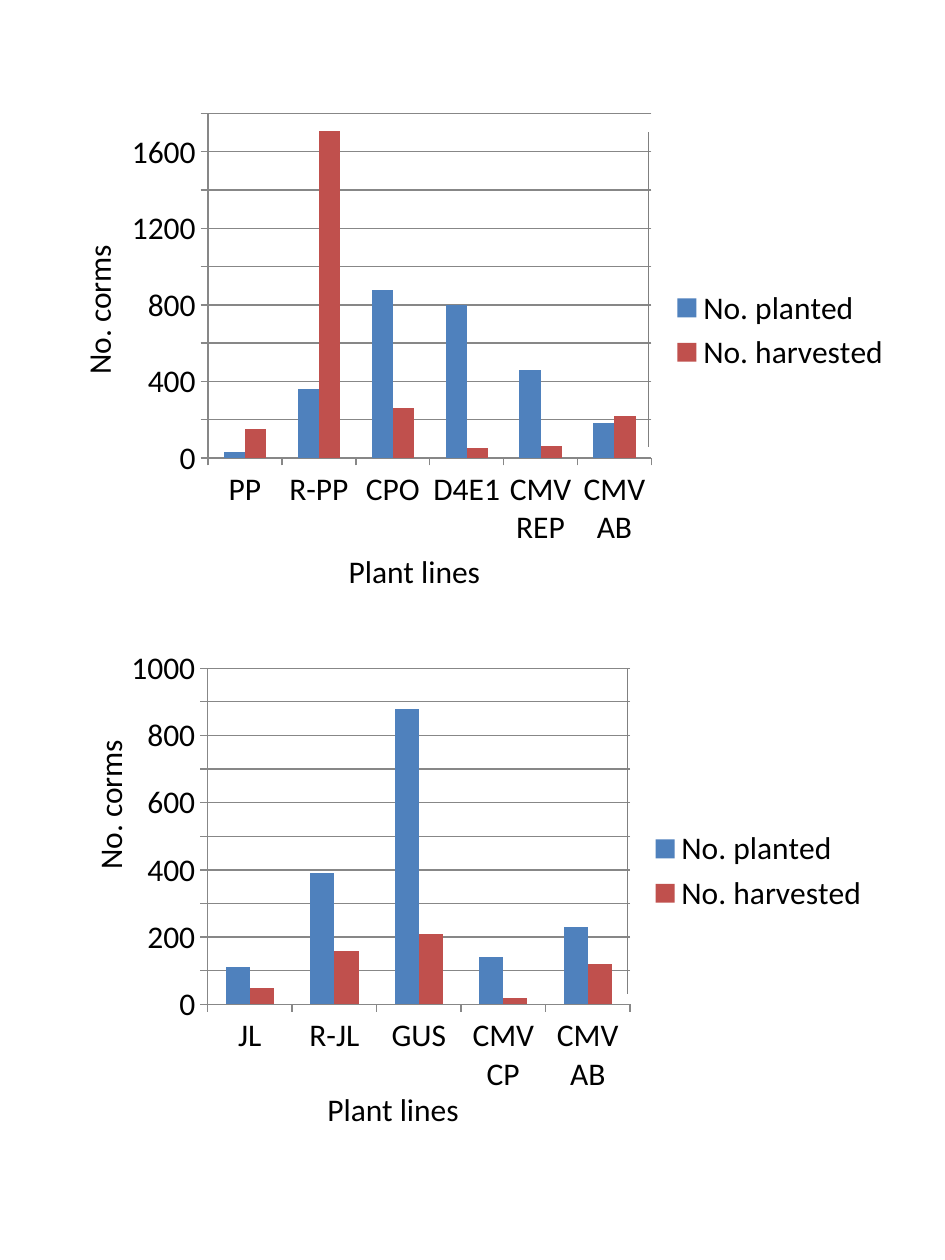
from pptx import Presentation
from pptx.chart.data import CategoryChartData
from pptx.dml.color import RGBColor
from pptx.enum.chart import XL_CHART_TYPE, XL_LEGEND_POSITION, XL_TICK_MARK
from pptx.enum.shapes import MSO_CONNECTOR
from pptx.enum.text import MSO_AUTO_SIZE
from pptx.oxml.ns import qn
from pptx.util import Cm, Pt
from lxml import etree


def paint(item, color):
    item.fill.solid()
    item.fill.fore_color.rgb = RGBColor.from_string(color)


def style(font):
    font.name = "Calibri"
    font.size = Pt(18)
    font.bold = False
    paint(font, "000000")


deck = Presentation()
deck.slide_width = Cm(19.05)
deck.slide_height = Cm(25.4)
slide = deck.slides.add_slide(deck.slide_layouts[6])
shapes = slide.shapes

charts = [
    ((2.34, 12.9, 15.44, 9.32), 1000, 100,
     ["JL", "R-JL", "GUS", "CMV CP", "CMV AB"],
     [110, 390, 880, 140, 230], [50, 160, 210, 20, 120]),
    ((2.34, 2.11, 15.88, 9.09), 1800, 200,
     ["PP", "R-PP", "CPO", "D4E1", "CMV REP", "CMV AB"],
     [30, 360, 880, 800, 460, 180], [150, 1710, 260, 50, 60, 220]),
]
for place, top, step, lines, planted, picked in charts:
    data = CategoryChartData()
    data.categories = lines
    data.add_series("No. planted", planted)
    data.add_series("No. harvested", picked)
    box = [Cm(n) for n in place]
    chart = shapes.add_chart(XL_CHART_TYPE.COLUMN_CLUSTERED, *box, data).chart
    chart.has_title = False
    style(chart.font)
    chart.has_legend = True
    chart.legend.position = XL_LEGEND_POSITION.RIGHT
    chart.legend.include_in_layout = False
    plot = chart.plots[0]
    plot.gap_width = 150
    plot.overlap = 0
    plot.vary_by_categories = False
    for series, color in zip(plot.series, ["4F81BD", "C0504D"]):
        paint(series.format, color)
    scale = chart.value_axis
    scale.minimum_scale = 0
    scale.maximum_scale = top
    scale.major_unit = step
    scale.has_major_gridlines = True
    for axis in (scale, chart.category_axis):
        axis.major_tick_mark = XL_TICK_MARK.OUTSIDE
        paint(axis.format.line, "878787")
    paint(scale.major_gridlines.format.line, "878787")

labels = [
    ("No. corms", 0.41, 5.72, 3.15, 270),
    ("No. corms", 0.64, 15.7, 3.15, 270),
    ("Plant lines", 6.78, 11, 3.2, 0),
    ("Plant lines", 6.35, 21.84, 3.2, 0),
]
for text, left, top, width, turn in labels:
    label = shapes.add_textbox(Cm(left), Cm(top), Cm(width), Cm(1.02))
    label.rotation = turn
    frame = label.text_frame
    frame.word_wrap = False
    frame.auto_size = MSO_AUTO_SIZE.SHAPE_TO_FIT_TEXT
    frame.text = text
    style(frame.paragraphs[0].runs[0].font)

for left, top, end in [(13.08, 2.67, 9.02), (12.65, 13.49, 20.04)]:
    edge = shapes.add_connector(
        MSO_CONNECTOR.STRAIGHT, Cm(left), Cm(top), Cm(left), Cm(end))
    edge.line.width = Pt(0.75)
    paint(edge.line, "808080")
    etree.SubElement(edge._element.spPr, qn("a:effectLst"))

deck.save("out.pptx")
